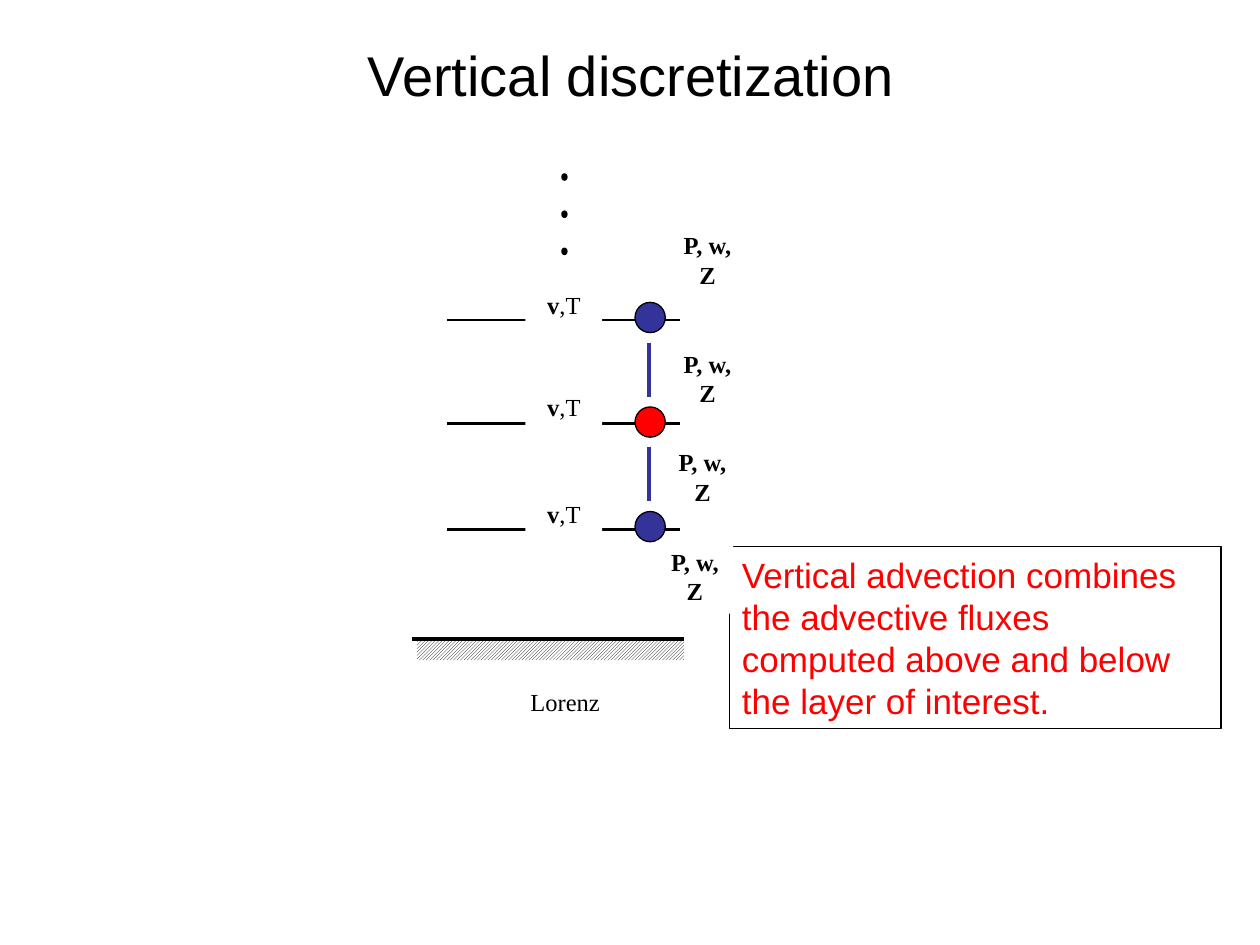
from dataclasses import dataclass

from lxml import etree
from pptx import Presentation
from pptx import util as u
from pptx.dml.color import RGBColor
from pptx.enum import dml, shapes, text
from pptx.oxml import ns

BLACK = RGBColor(0x00, 0x00, 0x00)
WHITE = RGBColor(0xFF, 0xFF, 0xFF)
BLUE = RGBColor(0x33, 0x33, 0x99)
RED = RGBColor(0xFF, 0x00, 0x00)
SERIF, SANS = "Times New Roman", "Arial"
COLUMNS, ROWS = 100, 75  # grid over the whole slide

presentation = Presentation()
presentation.slide_width, presentation.slide_height = u.Inches(10), u.Inches(7.5)
slide = presentation.slides.add_slide(presentation.slide_layouts[6])
COLUMN = presentation.slide_width / COLUMNS
ROW = presentation.slide_height / ROWS


@dataclass
class Box:
    """A rectangle in grid columns and rows."""
    left: float
    top: float
    width: float
    height: float

    def lengths(self) -> list[int]:
        return [round(self.left * COLUMN), round(self.top * ROW),
                round(self.width * COLUMN), round(self.height * ROW)]


@dataclass
class Run:
    words: str
    bold: bool = False
    size: float = 14
    font: str = SERIF
    color: RGBColor = BLACK


@dataclass
class Level:
    """One model level: its line, v,T label and marker."""
    line: float
    label: float
    marker: float
    color: RGBColor


def add_shape(kind, box: Box, fill: RGBColor | None = None, outline: RGBColor | None = None):
    shape = slide.shapes.add_shape(kind, *box.lengths())
    shape.shadow.inherit = False
    if fill is None:
        shape.fill.background()
    else:
        shape.fill.solid()
        shape.fill.fore_color.rgb = fill
    if outline is None:
        shape.line.fill.background()
    else:
        shape.line.color.rgb = outline
        shape.line.width = u.Pt(0.75)
    return shape


def write(shape, runs: list[Run], align=text.PP_ALIGN.CENTER,
          anchor=text.MSO_ANCHOR.TOP):
    frame = shape.text_frame
    frame.word_wrap = True
    frame.vertical_anchor = anchor
    paragraph = frame.paragraphs[0]
    paragraph.alignment = align
    for item in runs:
        run = paragraph.add_run()
        run.text = item.words
        run.font.name, run.font.size = item.font, u.Pt(item.size)
        run.font.bold, run.font.color.rgb = item.bold, item.color
    return paragraph


def add_label(box: Box, runs: list[Run]) -> None:
    write(add_shape(shapes.MSO_SHAPE.RECTANGLE, box, WHITE), runs)


def add_line(x1: float, y1: float, x2: float, y2: float, width: float,
             color: RGBColor = BLACK) -> None:
    line = slide.shapes.add_connector(
        shapes.MSO_CONNECTOR.STRAIGHT, round(x1 * COLUMN), round(y1 * ROW),
        round(x2 * COLUMN), round(y2 * ROW))
    line.line.color.rgb = color
    line.line.width = u.Pt(width)
    etree.SubElement(line._element.spPr, ns.qn("a:effectLst"))


LEVELS = [Level(42, 39.1, 40.6, BLUE), Level(33.6, 30.6, 32.3, RED),
          Level(25.4, 22.5, 24, BLUE)]
LABEL_WIDTH, LABEL_HEIGHT = 6.1, 5.8
MARKER = 2.4

# Ground with hatching
ground = add_shape(shapes.MSO_SHAPE.RECTANGLE, Box(33.1, 50.7, 21.2, 1.7))
ground.fill.patterned()
ground.fill.pattern = dml.MSO_PATTERN.LIGHT_UPWARD_DIAGONAL
ground.fill.fore_color.rgb = BLACK
ground.fill.back_color.rgb = WHITE
add_line(32.7, 50.7, 54.3, 50.7, 2.25)

# Level lines, interrupted by their labels
for level in LEVELS:
    add_line(54, level.line, 35.5, level.line, 1.5)
    add_label(Box(41.7, level.label, LABEL_WIDTH, LABEL_HEIGHT),
              [Run("v", bold=True), Run(",T")])

# Dots for the levels further up
for index in range(3):
    add_shape(shapes.MSO_SHAPE.OVAL, Box(44.6, 13.8 + 2.95 * index, 0.4, 0.5),
              BLACK, BLACK)

# Grid name and title
add_label(Box(39.4, 54, 10.9, 4.7), [Run("Lorenz")])
title = slide.shapes.add_textbox(*Box(5.1, 2.1, 90, 7.5).lengths())
write(title, [Run("Vertical discretization", size=32, font=SANS)],
      anchor=text.MSO_ANCHOR.MIDDLE)

# Level markers and the links between them
for level in LEVELS:
    add_shape(shapes.MSO_SHAPE.OVAL, Box(50.4, level.marker, MARKER, MARKER),
              level.color, BLACK)
for top in (27.2, 35.5):
    add_line(51.5, top, 51.5, top + 4.3, 2, BLUE)

# Explanation
note = add_shape(shapes.MSO_SHAPE.RECTANGLE, Box(57.9, 43.4, 39, 14.4), outline=BLACK)
write(note, [Run("Vertical advection combines the advective fluxes computed "
                 "above and below the layer of interest.",
                 size=20, font=SANS, color=RED)], align=text.PP_ALIGN.LEFT)

# Interface variables between the levels
for left, top in ((53.1, 27.2), (52.7, 35), (53.1, 17.8), (52.1, 42.9)):
    add_label(Box(left, top, LABEL_WIDTH, LABEL_HEIGHT), [Run("P, w, Z", bold=True)])

presentation.save("out.pptx")
